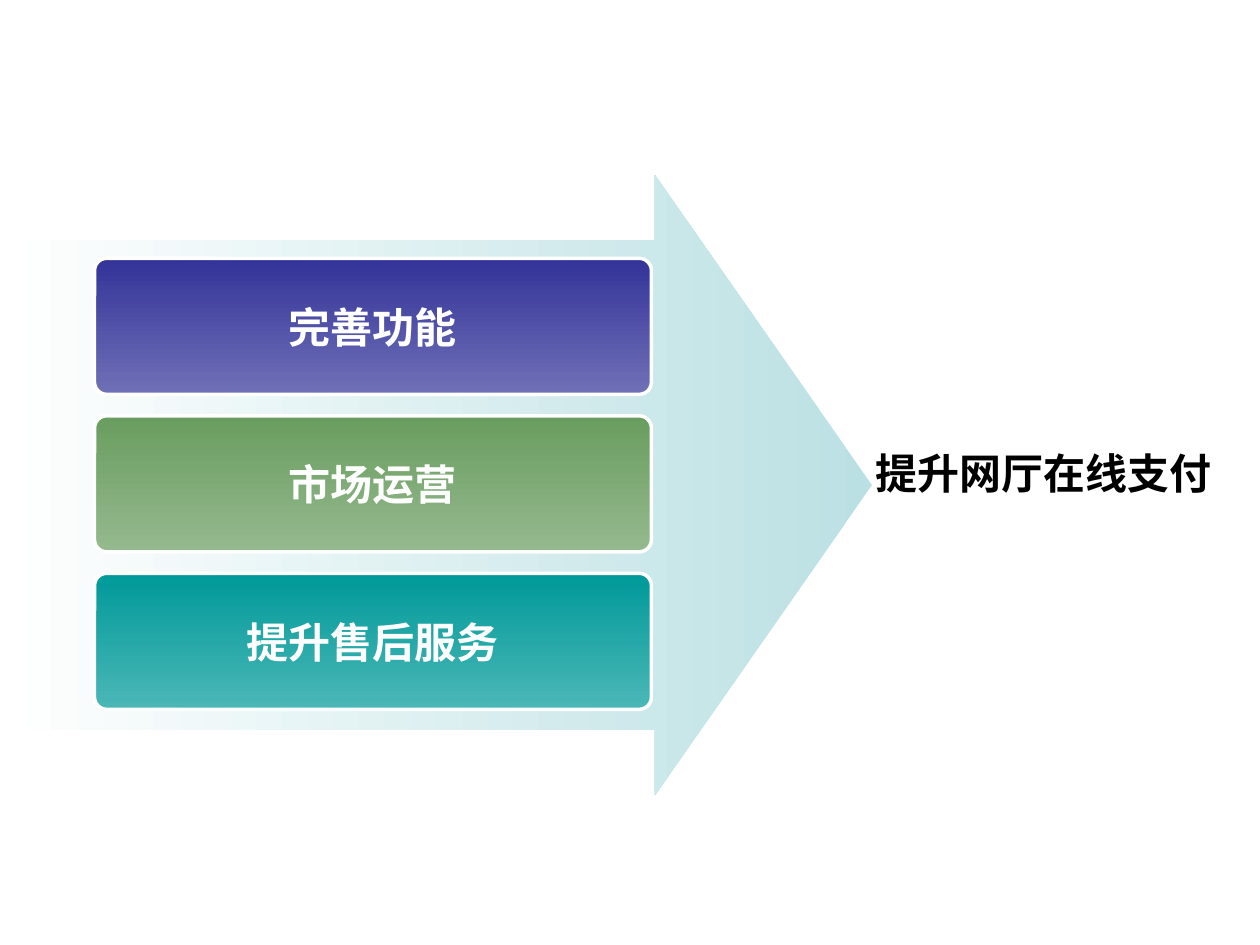
from pptx import Presentation
from pptx.dml.color import RGBColor
from pptx.enum.shapes import MSO_SHAPE
from pptx.enum.text import MSO_ANCHOR, PP_ALIGN
from pptx.util import Inches, Pt

ROUNDED = MSO_SHAPE.ROUNDED_RECTANGLE
ARROW = MSO_SHAPE.RIGHT_ARROW
MIDDLE = MSO_ANCHOR.MIDDLE
CENTER = PP_ALIGN.CENTER


def rgb(value):
    return RGBColor.from_string(value)


def add_block(kind, box, adjustments, gradient=None, angle=0, text="", color="FFFFFF"):
    """Add a borderless shape; angle runs counter-clockwise from left to right."""
    sp = slide.shapes.add_shape(kind, *(Inches(v) for v in box))
    sp.shadow.inherit = False
    for i, value in enumerate(adjustments):
        sp.adjustments[i] = value
    sp.line.fill.background()
    if gradient:
        sp.fill.gradient()
        sp.fill.gradient_angle = angle
        for stop, stop_color in zip(sp.fill.gradient_stops, gradient):
            stop.color.rgb = rgb(stop_color)
    else:
        sp.fill.background()
    if text:
        tf = sp.text_frame
        tf.word_wrap = True
        tf.vertical_anchor = MIDDLE
        p = tf.paragraphs[0]
        p.text = text
        p.alignment = CENTER
        p.font.name = "Arial"
        p.font.size = Pt(24)
        p.font.bold = True
        p.font.color.rgb = rgb(color)
    return sp


prs = Presentation()
prs.slide_width = Inches(10)
prs.slide_height = Inches(7.5)
slide = prs.slides.add_slide(prs.slide_layouts[6])

add_block(ROUNDED, (6.67, 3.04, 3.22, 1.42), [0.09], text="提升网厅在线支付", color="000000")
add_block(ARROW, (0, 1.39, 6.92, 4.92), [0.79, 0.35], ("BBE0E3", "FFFFFF"), 180)

measures = [
    ("完善功能", "333399", "7070B7"),
    ("市场运营", "699D5F", "95B98E"),
    ("提升售后服务", "009999", "4CB7B7"),
]
for i, (text, top_color, bottom_color) in enumerate(measures):
    box = (0.75, 2.05 + 1.25 * i, 4.42, 1.08)
    sp = add_block(ROUNDED, box, [0.09], (top_color, bottom_color), 270, text)
    sp.text_frame.word_wrap = False
    sp.line.color.rgb = rgb("FFFFFF")
    sp.line.width = Pt(2)

prs.save("out.pptx")
